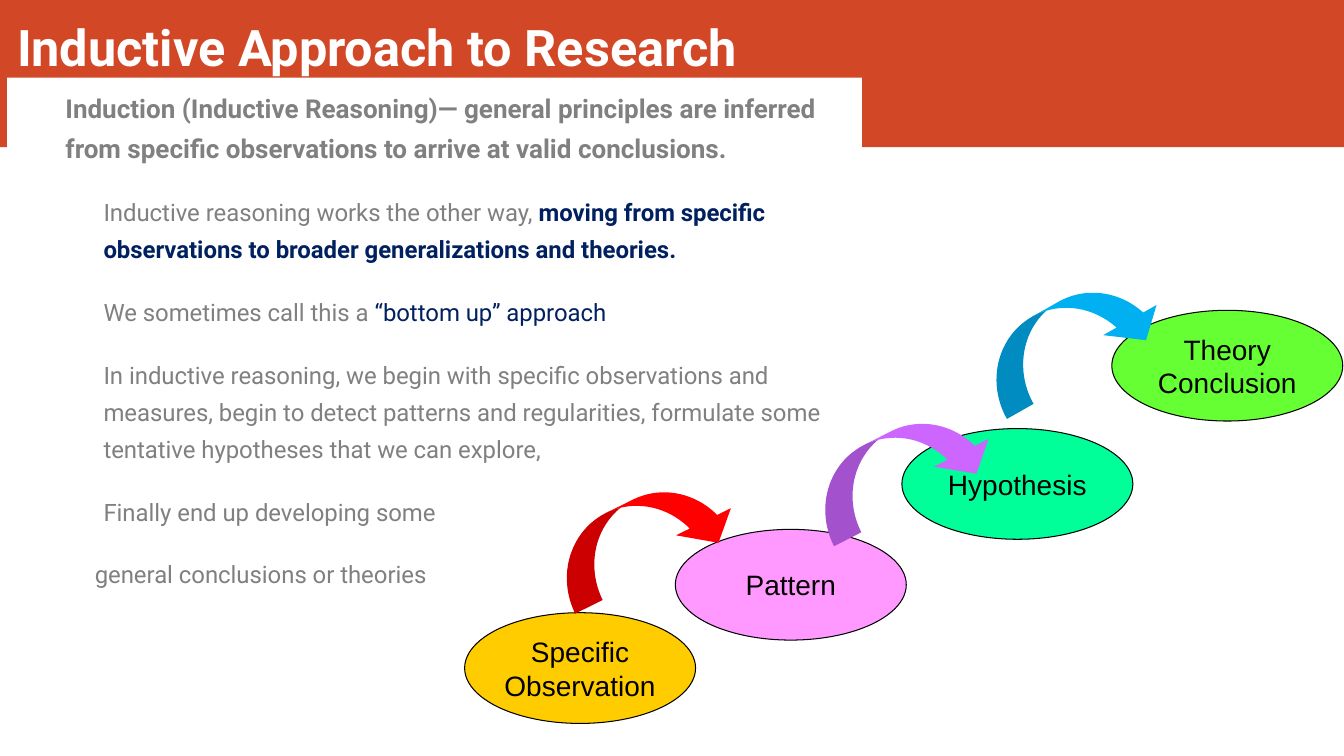
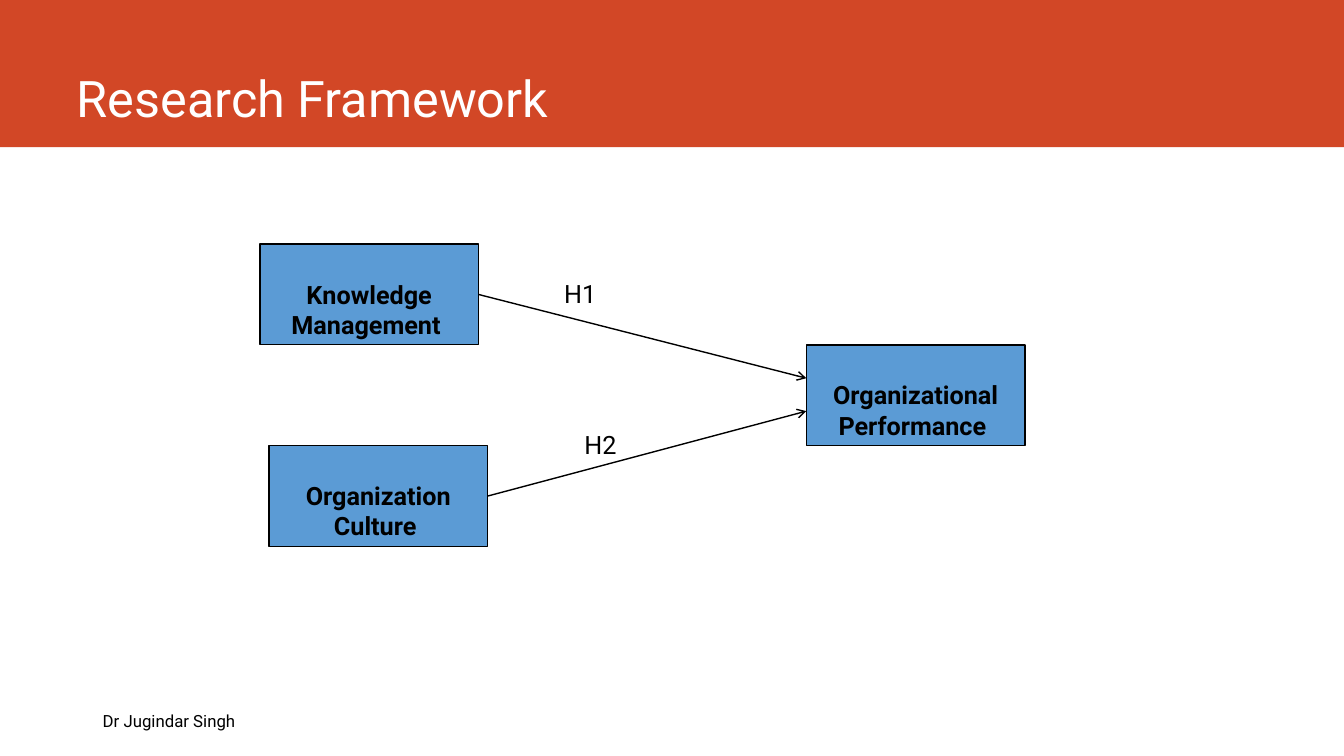
from dataclasses import dataclass

from lxml.etree import SubElement
from pptx import Presentation
from pptx.dml.color import RGBColor
from pptx.enum.shapes import MSO_CONNECTOR as Connector, MSO_SHAPE as Shape
from pptx.enum.text import MSO_ANCHOR as Anchor, PP_ALIGN as Align
from pptx.oxml.ns import qn
from pptx.util import Cm, Pt


@dataclass(frozen=True)
class Theme:
    """Colours, fonts and type sizes shared by all slides."""
    band: str = "D24726"
    paper: str = "FFFFFF"
    ink: str = "000000"
    grey: str = "808080"
    navy: str = "002060"
    box: str = "5B9BD5"
    heading_font: str = "Roboto"
    oval_font: str = "Arial"
    title_size: float = 36
    lead_size: float = 18.6
    body_size: float = 17.1
    oval_size: float = 20
    box_size: float = 18
    footer_size: float = 12


def assign(target, values):
    """Set each named attribute of the target."""
    for name, value in values.items():
        setattr(target, name, value)


class SlideBuilder:
    """Holds the deck, its style and the current slide."""

    WIDTH, HEIGHT, BAND_HEIGHT = 33.87, 19.05, 3.71

    def __init__(self, theme):
        """Start an empty widescreen deck."""
        self.theme = theme
        self.deck = Presentation()
        assign(self.deck, {"slide_width": Cm(self.WIDTH), "slide_height": Cm(self.HEIGHT)})
        self.page = None

    def new_page(self, title, title_place, bold=False):
        """Add a slide with its coloured band and title."""
        theme = self.theme
        self.page = self.deck.slides.add_slide(self.deck.slide_layouts[6])
        self.shape(Shape.RECTANGLE, (0, 0, self.WIDTH, self.BAND_HEIGHT), theme.band)
        self.text(title, title_place, theme.title_size, theme.paper, Anchor.BOTTOM, bold)

    def shape(self, kind, place, fill, outline=None):
        """Add a filled preset shape, outlined when a width is given."""
        shape = self.page.shapes.add_shape(kind, *map(Cm, place))
        shape.shadow.inherit = False
        shape.fill.solid()
        shape.fill.fore_color.rgb = RGBColor.from_string(fill)
        if outline:
            shape.line.color.rgb = RGBColor.from_string(self.theme.ink)
            shape.line.width = Pt(outline)
        else:
            shape.line.fill.background()
        return shape

    def span(self, para, text, size, color, bold=False, font=None):
        """Add a formatted run to a paragraph."""
        span = para.add_run()
        span.text = text
        values = {"name": font or self.theme.heading_font, "size": Pt(size), "bold": bold}
        assign(span.font, values)
        span.font.color.rgb = RGBColor.from_string(color)

    def paragraphs(self, frame, count, values):
        """Return the given number of paragraphs with shared settings."""
        paras = [frame.paragraphs[0]] + [frame.add_paragraph() for _ in range(count - 1)]
        for para in paras:
            assign(para, values)
        return paras

    def text(self, text, place, size, color, anchor=Anchor.TOP, bold=False):
        """Add a one-line text box."""
        frame = self.page.shapes.add_textbox(*map(Cm, place)).text_frame
        assign(frame, {"word_wrap": True, "vertical_anchor": anchor})
        self.span(frame.paragraphs[0], text, size, color, bold)

    def body(self, place, rows):
        """Add the white text panel from rows of indent, size and spans."""
        frame = self.shape(Shape.RECTANGLE, place, self.theme.paper).text_frame
        assign(frame, {"word_wrap": True, "vertical_anchor": Anchor.TOP})
        values = {"alignment": Align.LEFT, "line_spacing": 1.3,
                  "space_before": Pt(6), "space_after": Pt(12)}
        paras = self.paragraphs(frame, len(rows), values)
        for para, (indent, size, spans) in zip(paras, rows):
            para._p.get_or_add_pPr().set("marL", str(Cm(indent)))
            for text, color, bold in spans:
                self.span(para, text, size, color, bold)

    def oval(self, lines, left, top, fill):
        """Add one labelled step of the inductive path."""
        theme = self.theme
        frame = self.shape(Shape.OVAL, (left, top, 5.82, 2.79), fill, 0.75).text_frame
        assign(frame, {"word_wrap": False, "vertical_anchor": Anchor.MIDDLE})
        paras = self.paragraphs(frame, len(lines), {"alignment": Align.CENTER})
        for para, line in zip(paras, lines):
            self.span(para, line, theme.oval_size, theme.ink, font=theme.oval_font)

    def curved_arrow(self, left, top, rotation, fill):
        """Add a tilted curved arrow between two steps."""
        arrow = self.shape(Shape.CURVED_DOWN_ARROW, (left, top, 4.8, 1.93), fill)
        arrow.rotation = rotation
        for index, value in enumerate((0.4, 0.8, 0.333)):
            arrow.adjustments[index] = value

    def variable(self, lines, left, top):
        """Add a framework box with its label in the lower part."""
        theme = self.theme
        box = self.shape(Shape.RECTANGLE, (left, top, 5.51, 2.54), theme.box, 1)
        frame = box.text_frame
        assign(frame, {"word_wrap": True, "vertical_anchor": Anchor.TOP, "margin_top": Cm(0.88)})
        paras = self.paragraphs(frame, len(lines), {"alignment": Align.CENTER})
        for para, line in zip(paras, lines):
            self.span(para, line, theme.box_size, theme.ink, True)
        return box

    def arrow_from(self, box, left, top):
        """Draw an arrow from the right side of a box to a point."""
        end = Cm(left), Cm(top)
        line = self.page.shapes.add_connector(Connector.STRAIGHT, box.left, box.top, *end)
        line.begin_connect(box, 3)
        line.line.color.rgb = RGBColor.from_string(self.theme.ink)
        line.line.width = Pt(1)
        SubElement(line.line._get_or_add_ln(), qn("a:tailEnd"), type="arrow")
        SubElement(line._element.spPr, qn("a:effectLst"))


def inductive_slide(builder):
    """Build the slide on the inductive approach."""
    theme = builder.theme
    grey, navy, size = theme.grey, theme.navy, theme.body_size
    builder.new_page("Inductive Approach to Research", (0.18, 0.08, 27.84, 1.98), True)
    builder.body((0.18, 1.96, 21.54, 16.33), [
        (1.22, theme.lead_size, [
            ("Induction (Inductive Reasoning)— general principles are inferred from specific "
             "observations to arrive at valid conclusions.", grey, True)]),
        (2.18, size, [
            ("Inductive reasoning works the other way, ", grey, False),
            ("moving from specific observations to broader generalizations and theories.",
             navy, True)]),
        (2.18, size, [
            ("We sometimes call this a ", grey, False),
            ("“bottom up” approach", navy, False)]),
        (2.18, size, [
            ("In inductive reasoning, we begin with specific observations and measures, begin "
             "to detect patterns and regularities, formulate some tentative hypotheses that "
             "we can explore,", grey, False)]),
        (2.18, size, [("Finally end up developing some", grey, False)]),
        (1.96, size, [("general conclusions or theories", grey, False)]),
    ])
    for step in (
        (("Specific", "Observation"), 11.71, 15.44, "FFCC00"),
        (("Pattern",), 17.02, 13.34, "FF99FF"),
        (("Hypothesis",), 22.73, 10.8, "00FF99"),
        (("Theory", "Conclusion"), 28.02, 7.82, "66FF33"),
    ):
        builder.oval(*step)
    for arrow in (
        (20.32, 10.85, 333, "CC66FF"),
        (24.59, 7.57, 330.5, "00B0F0"),
        (13.82, 12.57, 333.7, "FF0000"),
    ):
        builder.curved_arrow(*arrow)


def framework_slide(builder):
    """Build the slide on the research framework."""
    theme = builder.theme
    builder.new_page("Research Framework", (1.68, 0, 29.87, 3.35))
    builder.variable(("Organizational", "Performance "), 20.32, 8.69)
    culture = builder.variable(("Organization Culture ",), 6.78, 11.23)
    knowledge = builder.variable(("Knowledge Management ",), 6.55, 6.15)
    builder.arrow_from(knowledge, 20.32, 9.53)
    builder.arrow_from(culture, 20.32, 10.36)
    for label, left, top in (("H1", 13.97, 6.88), ("H2", 14.48, 10.69)):
        builder.text(label, (left, top, 1.32, 1.02), theme.box_size, theme.ink)
    builder.text("Dr Jugindar Singh", (2.34, 17.65, 9.09, 1.02), theme.footer_size,
                 theme.ink, Anchor.MIDDLE)


def main():
    """Build and save the deck."""
    builder = SlideBuilder(Theme())
    inductive_slide(builder)
    framework_slide(builder)
    builder.deck.save("out.pptx")


if __name__ == "__main__":
    main()
